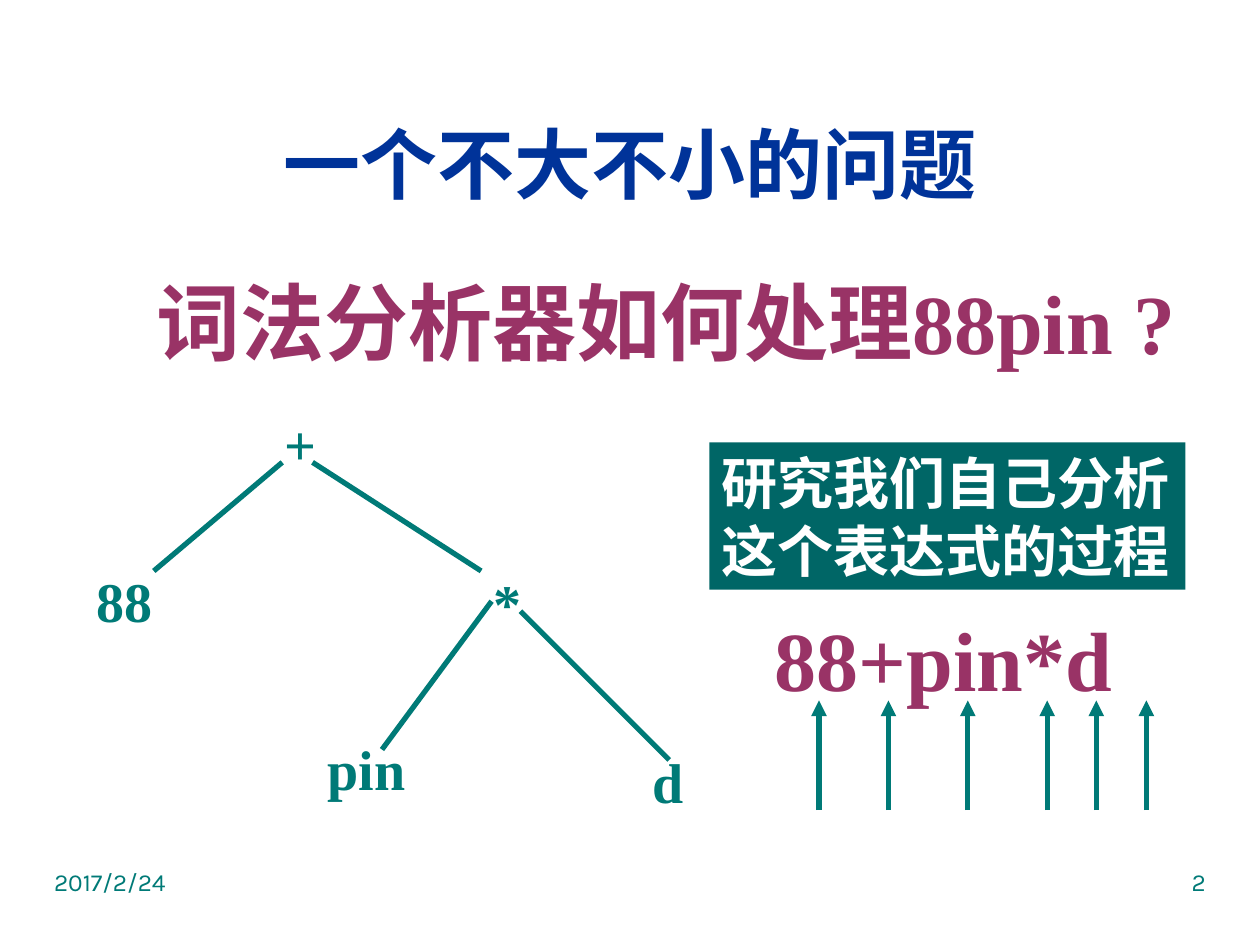
"""Build the slide on how a lexical analyser handles 88pin."""
from dataclasses import dataclass

from lxml.etree import SubElement
from pptx import Presentation
from pptx.dml.color import RGBColor as RGB
from pptx.enum.shapes import MSO_CONNECTOR as CONN, MSO_SHAPE as SHAPE
from pptx.enum.text import MSO_ANCHOR as ANCHOR, PP_ALIGN as ALIGN
from pptx.oxml.ns import qn
from pptx.util import Cm, Pt


@dataclass(frozen=True)
class Theme:
    blue: RGB = RGB(0x00, 0x33, 0x99)
    plum: RGB = RGB(0x99, 0x33, 0x66)
    teal: RGB = RGB(0x00, 0x7A, 0x77)
    panel: RGB = RGB(0x00, 0x66, 0x66)
    white: RGB = RGB(0xFF, 0xFF, 0xFF)
    serif: str = "Times New Roman"
    sans: str = "Karla"
    title: Pt = Pt(44)
    question: Pt = Pt(48)
    label: Pt = Pt(32)
    footer: Pt = Pt(14)
    stroke: Pt = Pt(3)


theme = Theme()
prs = Presentation()
prs.slide_width, prs.slide_height = Cm(25.4), Cm(19.05)
s = prs.slides.add_slide(prs.slide_layouts[6])


def write(sp, text, size, color, font=theme.serif, bold=True,
          align=ALIGN.LEFT, anchor=ANCHOR.TOP, wrap=True):
    tf = sp.text_frame
    tf.word_wrap, tf.vertical_anchor = wrap, anchor
    p = tf.paragraphs[0]
    p.text, p.alignment = text, align
    p.font.name, p.font.size, p.font.bold = font, size, bold
    p.font.color.rgb = color
    return tf


def connect(x1, y1, x2, y2, arrow=False):
    line = s.shapes.add_connector(CONN.STRAIGHT, Cm(x1), Cm(y1), Cm(x2), Cm(y2))
    line.line.color.rgb, line.line.width = theme.teal, theme.stroke
    props = line._element.spPr
    if arrow:
        SubElement(props.find(qn("a:ln")), qn("a:tailEnd"), type="triangle")
    SubElement(props, qn("a:effectLst"))


title = s.shapes.add_textbox(Cm(0.84), Cm(1.7), Cm(23.72), Cm(3.18))
write(title, "一个不大不小的问题", theme.title, theme.blue,
      align=ALIGN.CENTER, anchor=ANCHOR.MIDDLE)

question = s.shapes.add_textbox(Cm(2.9), Cm(5.33), Cm(21.79), Cm(2.79))
write(question, "词法分析器如何处理88pin ?", theme.question, theme.plum)

expression = s.shapes.add_textbox(Cm(14.1), Cm(12.12), Cm(9.6), Cm(2.79))
tf = write(expression, "88+pin*d", theme.question, theme.plum)
tf.margin_left = Cm(1.52)

panel = s.shapes.add_shape(SHAPE.RECTANGLE, Cm(14.3), Cm(8.92), Cm(9.6), Cm(2.97))
panel.shadow.inherit = False
panel.fill.solid()
panel.fill.fore_color.rgb = theme.panel
panel.line.fill.background()
write(panel, "研究我们自己分析这个表达式的过程", theme.label, theme.white,
      font=theme.sans, anchor=ANCHOR.MIDDLE)

for text, x, y, w in [("88", 1.7, 11.3, 1.65), ("+", 5.49, 8.13, 1.14),
                      ("pin", 6.35, 14.68, 2.08), ("*", 9.7, 11.33, 1.07),
                      ("d", 12.9, 14.94, 1.14)]:
    node = s.shapes.add_textbox(Cm(x), Cm(y), Cm(w), Cm(1.6))
    write(node, text, theme.label, theme.teal, wrap=False)

for branch in [(5.69, 9.32, 3.1, 11.51), (6.3, 9.32, 9.7, 11.51),
               (9.91, 12.12, 7.7, 15.11), (10.49, 12.32, 13.49, 15.32)]:
    connect(*branch)

for x in (16.51, 17.91, 19.51, 21.11, 22.1, 23.11):
    connect(x, 16.33, x, 14.12, arrow=True)

for text, x, align in [("2017/2/24", 0.84, ALIGN.LEFT), ("2", 18.21, ALIGN.RIGHT)]:
    footer = s.shapes.add_textbox(Cm(x), Cm(17.35), Cm(6.35), Cm(1.32))
    write(footer, text, theme.footer, theme.teal, font=theme.sans,
          bold=False, align=align)

prs.save("out.pptx")
